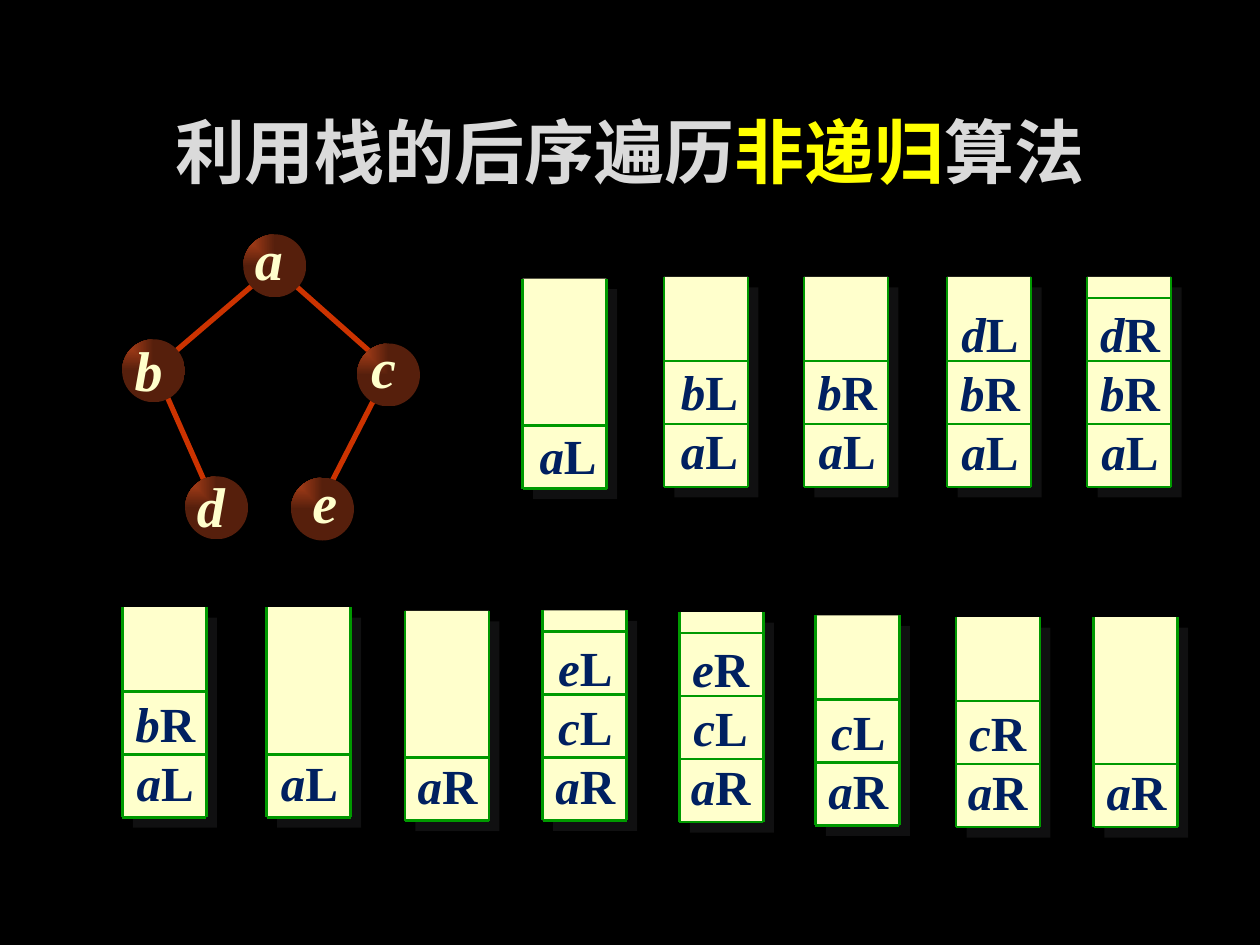
from collections import namedtuple
from dataclasses import dataclass

from lxml.etree import SubElement
from pptx import Presentation
from pptx.dml.color import RGBColor
from pptx.enum.shapes import MSO_CONNECTOR, MSO_SHAPE
from pptx.enum.text import MSO_ANCHOR, PP_ALIGN
from pptx.oxml.ns import qn
from pptx.util import Pt

Box = namedtuple("Box", "left top width height")


@dataclass(frozen=True)
class Theme:
    font: str = "Times New Roman"
    background: str = "000000"
    title: str = "DADADA"
    accent: str = "FFFF00"
    node_light: str = "BC451B"
    node_dark: str = "561F0C"
    edge: str = "CC3300"
    cream: str = "FFFFCC"
    rule: str = "009900"
    entry: str = "002060"
    shadow: str = "212123"
    title_size: int = 40
    node_size: int = 32
    entry_size: int = 28


THEME = Theme()
NODE_SIZE = 36
CELL_HEIGHT = 36
STACK_WIDTH, STACK_HEIGHT = 48, 120

# Tree parts, relative to the tree box: letter, circle corner, letter centre
NODES = [
    ("a", (69.2, 0), (83.8, 13.6)),
    ("b", (0, 60), (15.2, 77)),
    ("c", (134.2, 62.4), (149.4, 75.3)),
    ("d", (36, 138.3), (50.8, 154.5)),
    ("e", (96.5, 139), (115.8, 152.3)),
]
EDGES = [
    ((149.1, 84.3), (117, 146.9)),
    ((24.5, 90), (48.3, 144)),
    ((93.6, 24.5), (144.8, 69.9)),
    ((80, 24.5), (24.5, 72)),
]

# Stacks: left, top, entries from the top down, divider count, label shift
STACKS_GOING_LEFT = [
    (298.6, 159.2, ["aL"], 1, (2, 1.2)),
    (379.4, 158.2, ["bL", "aL"], 2, (2, -1)),
    (459.4, 158.2, ["bR", "aL"], 2, (0.7, -1)),
    (541.2, 158.2, ["dL", "bR", "aL"], 2, (0.5, -0.4)),
    (621.2, 158.2, ["dR", "bR", "aL"], 3, (0.5, -0.4)),
]
STACKS_GOING_RIGHT = [
    (70, 347, ["bR", "aL"], 2, (0.4, 0)),
    (152.4, 347, ["aL"], 1, (0.4, 0.5)),
    (231.4, 349, ["aR"], 1, (0.4, 0)),
    (310.1, 348.8, ["eL", "cL", "aR"], 3, (0.4, 0)),
    (388.2, 349.8, ["eR", "cL", "aR"], 3, (-0.4, -0.5)),
    (466, 351.6, ["cL", "aR"], 2, (0.4, 0)),
    (546.3, 352.6, ["cR", "aR"], 2, (-0.2, -0.3)),
    (625, 352.6, ["aR"], 1, (0.4, 0)),
]


def rgb(code):
    return RGBColor.from_string(code)


def add_line(shapes, start, end, color, width):
    line = shapes.add_connector(MSO_CONNECTOR.STRAIGHT, *map(Pt, start + end))
    line.line.color.rgb = rgb(color)
    line.line.width = Pt(width)
    SubElement(line._element.spPr, qn("a:effectLst"))


def add_label(shapes, box, paragraphs, size):
    """Each paragraph is a list of (text, colour, italic) runs."""
    frame = shapes.add_textbox(*map(Pt, box)).text_frame
    frame.word_wrap = True
    frame.margin_left = frame.margin_right = 0
    frame.vertical_anchor = MSO_ANCHOR.MIDDLE
    for index, pieces in enumerate(paragraphs):
        paragraph = frame.add_paragraph() if index else frame.paragraphs[0]
        paragraph.alignment = PP_ALIGN.CENTER
        for text, color, italic in pieces:
            run = paragraph.add_run()
            run.text = text
            run.font.name = THEME.font
            run.font.size = Pt(size)
            run.font.bold = True
            run.font.italic = italic
            run.font.color.rgb = rgb(color)


def fill_from_corner(shape):
    """Shade a shape from its top left corner towards the bottom right."""
    shape.fill.gradient()
    stops = shape.fill.gradient_stops
    for stop, color in zip(stops, (THEME.node_light, THEME.node_dark)):
        stop.color.rgb = rgb(color)
    gradient = shape._element.spPr.find(qn("a:gradFill"))
    gradient.remove(gradient.find(qn("a:lin")))
    shading = SubElement(gradient, qn("a:path"), path="rect")
    SubElement(shading, qn("a:fillToRect"), r="100000", b="100000")


def add_drop_shadow(shape):
    shape.shadow.inherit = False
    effects = shape._element.spPr.find(qn("a:effectLst"))
    shadow = SubElement(effects, qn("a:outerShdw"), dist=str(Pt(8.5)),
                        dir="2700000", algn="ctr", rotWithShape="0")
    color = SubElement(shadow, qn("a:srgbClr"), val=THEME.shadow)
    SubElement(color, qn("a:alpha"), val="50000")


def add_title(slide, box):
    pieces = [("利用栈的后序遍历", THEME.title, False),
              ("非递归", THEME.accent, False),
              ("算法", THEME.title, False)]
    add_label(slide.shapes, box, [pieces], THEME.title_size)


def add_tree(slide, box):
    shapes = slide.shapes.add_group_shape().shapes

    def place(point):
        return box.left + point[0], box.top + point[1]

    # Edges lie behind the nodes
    for start, end in EDGES:
        add_line(shapes, place(start), place(end), THEME.edge, 3)
    for _, corner, _ in NODES:
        node = shapes.add_shape(
            MSO_SHAPE.OVAL, *map(Pt, (*place(corner), NODE_SIZE, NODE_SIZE)))
        fill_from_corner(node)
        node.line.fill.background()
        node.shadow.inherit = False
    # Letters
    for letter, _, centre in NODES:
        x, y = place(centre)
        add_label(shapes, Box(x - 15, y - 22.7, 30, 45.4),
                  [[(letter, THEME.cream, True)]], THEME.node_size)


def add_stack(shapes, box, entries, divider_count, label_shift):
    right, bottom = box.left + box.width, box.top + box.height
    body = shapes.add_shape(MSO_SHAPE.RECTANGLE, *map(Pt, box))
    body.fill.solid()
    body.fill.fore_color.rgb = rgb(THEME.cream)
    body.line.fill.background()
    add_drop_shadow(body)

    # Open-topped walls, then the base and the dividers above it
    for x in (box.left, right):
        add_line(shapes, (x, box.top), (x, bottom), THEME.rule, 1.5)
    for level in range(divider_count + 1):
        y = bottom - level * CELL_HEIGHT
        add_line(shapes, (box.left, y), (right, y), THEME.rule, 1.5)

    # Entries: node letter in italics, then the side mark
    dx, dy = label_shift
    height = 7.6 + 33.4 * len(entries)
    label_box = Box(box.left + dx, bottom - height + dy, box.width, height)
    paragraphs = [[(node, THEME.entry, True), (side, THEME.entry, False)]
                  for node, side in entries]
    add_label(shapes, label_box, paragraphs, THEME.entry_size)


def add_stack_row(slide, stacks):
    shapes = slide.shapes.add_group_shape().shapes
    for left, top, entries, divider_count, label_shift in stacks:
        box = Box(left, top, STACK_WIDTH, STACK_HEIGHT)
        add_stack(shapes, box, entries, divider_count, label_shift)


def main():
    deck = Presentation()
    deck.slide_width, deck.slide_height = Pt(720), Pt(540)
    slide = deck.slides.add_slide(deck.slide_layouts[6])
    slide.background.fill.solid()
    slide.background.fill.fore_color.rgb = rgb(THEME.background)

    add_title(slide, Box(54, 48, 611.6, 76))
    add_tree(slide, Box(69.8, 133.9, 170, 175))
    add_stack_row(slide, STACKS_GOING_LEFT)
    add_stack_row(slide, STACKS_GOING_RIGHT)
    deck.save("out.pptx")


if __name__ == "__main__":
    main()
